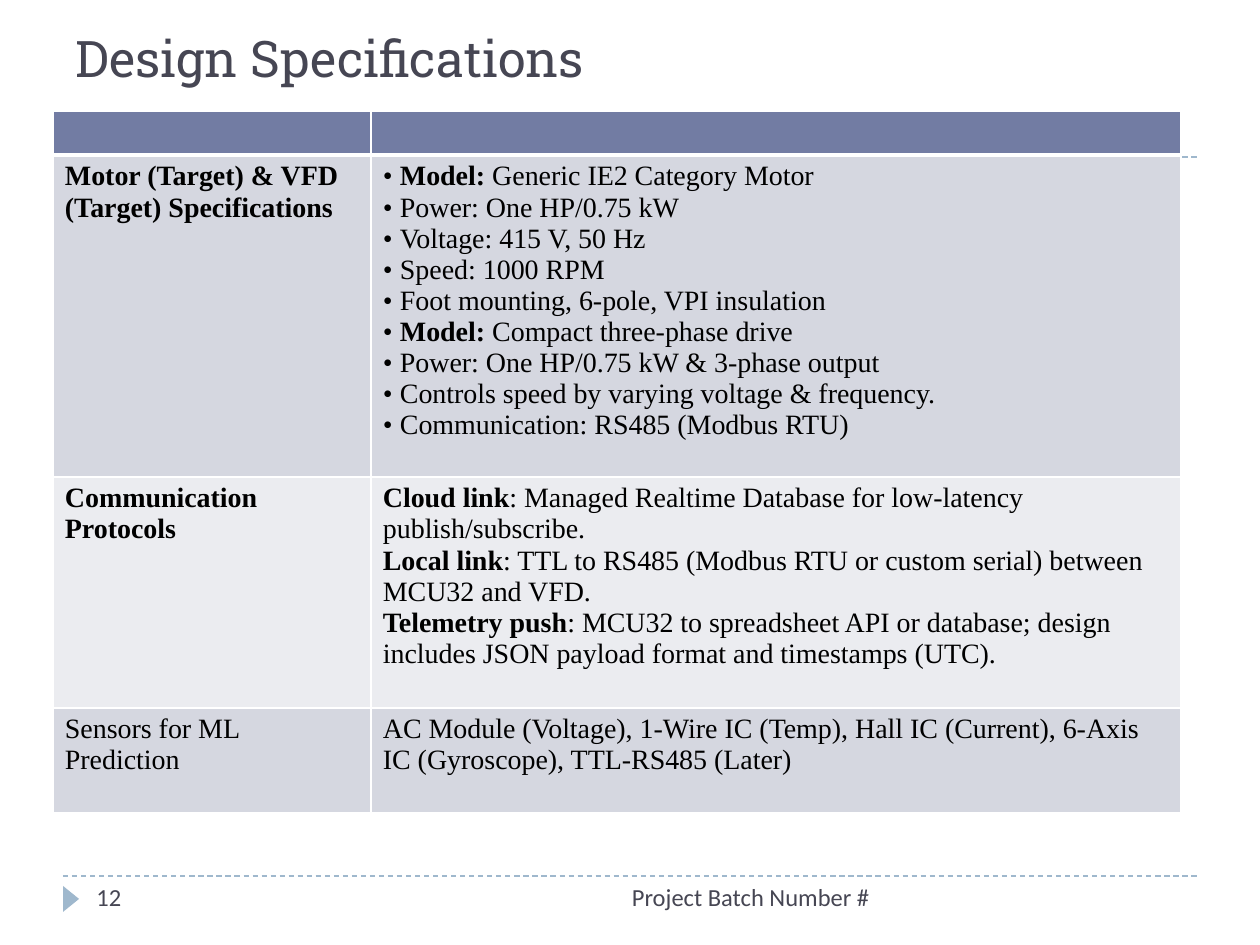
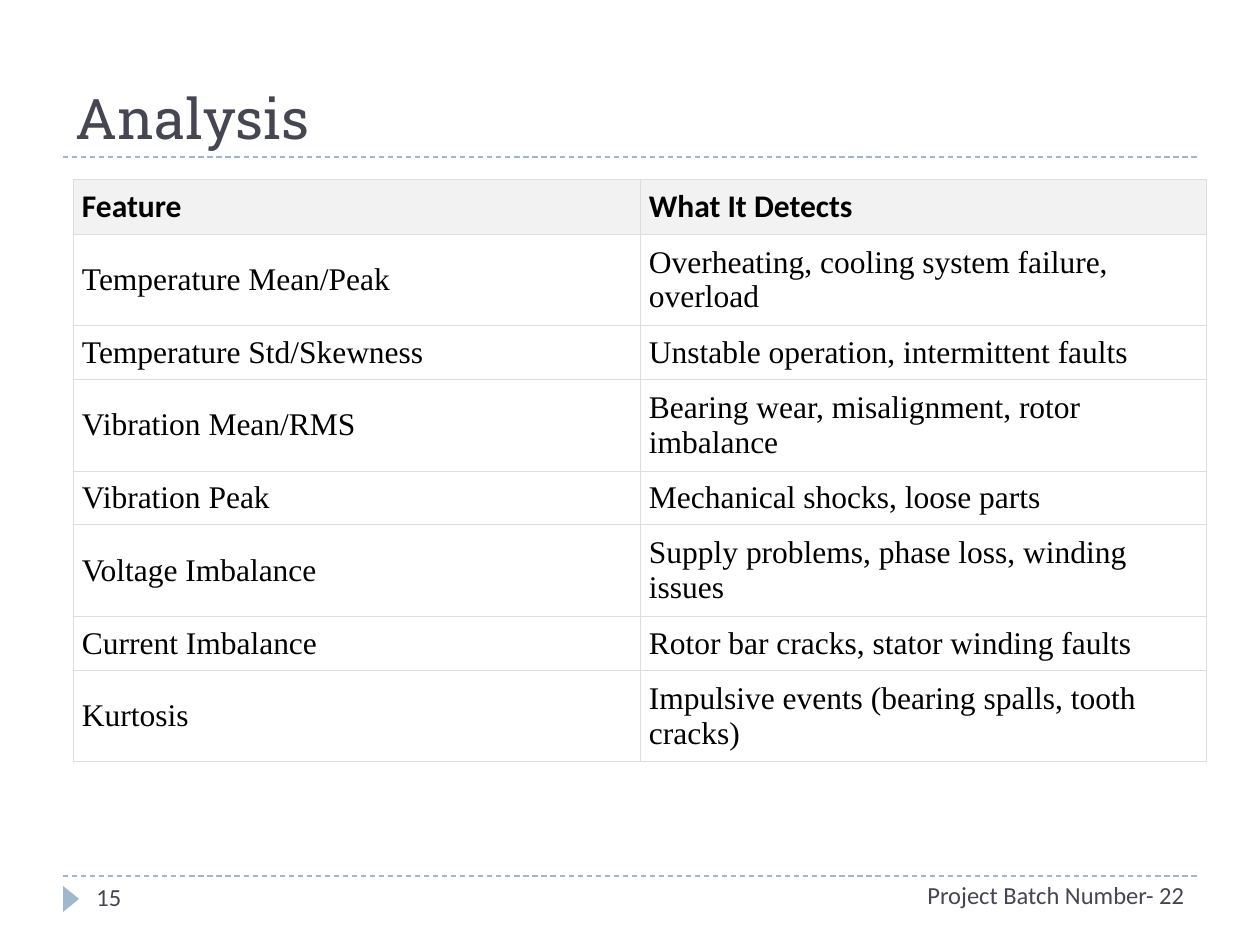
from lxml import etree
from pptx import Presentation
from pptx import util as u
from pptx.dml.color import RGBColor
from pptx.enum import dml, shapes, text
from pptx.oxml.ns import qn

PX = 7257
INK = RGBColor(0x46, 0x46, 0x53)
ACCENT = RGBColor(0x9F, 0xB8, 0xCD)
BLACK = RGBColor(0, 0, 0)
WHITE = RGBColor(0xFF, 0xFF, 0xFF)
HEADER_BLUE = RGBColor(0x72, 0x7C, 0xA3)
BAND_DARK = RGBColor(0xD5, 0xD7, 0xE0)
BAND_LIGHT = RGBColor(0xEB, 0xEC, 0xF0)
HEADER_GREY = RGBColor(0xF2, 0xF2, 0xF2)
RULE_GREY = RGBColor(0xDD, 0xDD, 0xDD)
SERIF = "Times New Roman"
SANS = "Calibri"


def write(frame, paragraphs, font=SANS, size=14, color=INK,
          align=text.PP_ALIGN.LEFT, bullet=False):
    frame.word_wrap = True
    for index, (strong, plain) in enumerate(paragraphs):
        line = frame.add_paragraph() if index else frame.paragraphs[0]
        line.alignment = align
        if bullet:
            props = line._p.get_or_add_pPr()
            props.set("marL", str(17 * PX))
            props.set("indent", str(-17 * PX))
            etree.SubElement(props, qn("a:buFont"), typeface=font)
            etree.SubElement(props, qn("a:buChar"), char="•")
        for words, bold in ((strong, True), (plain, False)):
            if words:
                run = line.add_run()
                run.text = words
                run.font.name = font
                run.font.size = u.Pt(size)
                run.font.bold = bold
                run.font.color.rgb = color
        if not strong and not plain:
            etree.SubElement(line._p, qn("a:endParaRPr"), sz=str(size * 100))


def style_cell(cell, fill, border, widths, margins):
    props = cell._tc.get_or_add_tcPr()
    for side, width in zip("LRTB", widths):
        edge = etree.SubElement(props, qn(f"a:ln{side}"), w=str(u.Pt(width)))
        solid = etree.SubElement(edge, qn("a:solidFill"))
        etree.SubElement(solid, qn("a:srgbClr"), val=str(border))
    if fill is None:
        cell.fill.background()
    else:
        cell.fill.solid()
        cell.fill.fore_color.rgb = fill
    cell.margin_left = cell.margin_right = margins[0] * PX
    cell.margin_top = cell.margin_bottom = margins[1] * PX


deck = Presentation()
deck.slide_width = 1260 * PX
deck.slide_height = 945 * PX
layout = deck.slide_layouts[5]

pages = [
    ("Design Specifications", 28.8, 73, "12", "Project Batch Number #", 399, 876),
    ("Analysis", 32, 136, "15", "Project Batch Number- 22", 714, 874),
]
slides = []
for heading, size, height, number, footer, footer_left, footer_top in pages:
    slide = deck.slides.add_slide(layout)
    slides.append(slide)
    title = slide.shapes.title
    title.left, title.top = 63 * PX, 21 * PX
    title.width, title.height = 1134 * PX, height * PX
    title.text_frame.auto_size = text.MSO_AUTO_SIZE.NONE
    title.text_frame.vertical_anchor = text.MSO_ANCHOR.BOTTOM
    write(title.text_frame, [("", heading)], font="Roboto Slab", size=size)
    page_number = slide.shapes.add_textbox(84 * PX, 876 * PX, 273 * PX, 50 * PX)
    write(page_number.text_frame, [("", number)])
    batch = slide.shapes.add_textbox(footer_left * PX, footer_top * PX, 483 * PX, 50 * PX)
    write(batch.text_frame, [("", footer)], align=text.PP_ALIGN.RIGHT)

for y in (876, 157):
    rule = slides[0].shapes.add_connector(
        shapes.MSO_CONNECTOR.STRAIGHT, 63 * PX, y * PX, 1197 * PX, y * PX)
    rule.line.color.rgb = ACCENT
    rule.line.width = u.Pt(0.75)
    rule.line.dash_style = dml.MSO_LINE.DASH
    etree.SubElement(rule._element.spPr, qn("a:effectLst"))
    layout.shapes.element.append(rule._element)

marker = slides[0].shapes.add_shape(
    shapes.MSO_SHAPE.ISOSCELES_TRIANGLE, 58 * PX, 891 * PX, 26 * PX, 16 * PX)
marker.rotation = 90
marker.shadow.inherit = False
marker.fill.solid()
marker.fill.fore_color.rgb = ACCENT
marker.line.fill.background()
layout.shapes.element.append(marker._element)

motor_and_drive = [
    ("Model:", " Generic IE2 Category Motor"),
    ("", "Power: One HP/0.75 kW"),
    ("", "Voltage: 415 V, 50 Hz"),
    ("", "Speed: 1000 RPM"),
    ("", "Foot mounting, 6-pole, VPI insulation"),
    ("Model:", " Compact three-phase drive"),
    ("", "Power: One HP/0.75 kW & 3-phase output"),
    ("", "Controls speed by varying voltage & frequency."),
    ("", "Communication: RS485 (Modbus RTU)"),
]
protocols = [
    ("Cloud link", ": Managed Realtime Database for low-latency publish/subscribe."),
    ("Local link", ": TTL to RS485 (Modbus RTU or custom serial) between MCU32 and VFD."),
    ("Telemetry push", ": MCU32 to spreadsheet API or database; design includes "
                       "JSON payload format and timestamps (UTC)."),
]
sensors = [("", "AC Module (Voltage), 1-Wire IC (Temp), Hall IC (Current), "
                "6-Axis IC (Gyroscope), TTL-RS485 (Later)")]
specifications = [
    (44, HEADER_BLUE, [("", "")], [("", "")]),
    (322, BAND_DARK, [("Motor (Target) & VFD (Target) Specifications", "")], motor_and_drive),
    (231, BAND_LIGHT, [("Communication Protocols", "")], protocols),
    (105, BAND_DARK, [("", "Sensors for ML Prediction")], sensors),
]
spec_table = slides[0].shapes.add_table(4, 2, 53 * PX, 111 * PX, 1128 * PX, 702 * PX).table
spec_table.first_row = spec_table.horz_banding = False
for column, width in zip(spec_table.columns, (318, 810)):
    column.width = width * PX
for row, (height, fill, *contents) in enumerate(specifications):
    spec_table.rows[row].height = height * PX
    top, bottom = (3 if row == 1 else 1), (3 if row == 0 else 1)
    for col, paragraphs in enumerate(contents):
        cell = spec_table.cell(row, col)
        style_cell(cell, fill, WHITE, (1, 1, top, bottom), (12, 6))
        write(cell.text_frame, paragraphs, font=SERIF,
              size=16 if row else 12, color=BLACK, bullet=paragraphs is motor_and_drive)

features = [
    (55, "Feature", "What It Detects"),
    (87, "Temperature Mean/Peak", "Overheating, cooling system failure, overload"),
    (52, "Temperature Std/Skewness", "Unstable operation, intermittent faults"),
    (86, "Vibration Mean/RMS", "Bearing wear, misalignment, rotor imbalance"),
    (52, "Vibration Peak", "Mechanical shocks, loose parts"),
    (86, "Voltage Imbalance", "Supply problems, phase loss, winding issues"),
    (52, "Current Imbalance", "Rotor bar cracks, stator winding faults"),
    (87, "Kurtosis", "Impulsive events (bearing spalls, tooth cracks)"),
]
feature_table = slides[1].shapes.add_table(
    len(features), 2, 73 * PX, 179 * PX, 1134 * PX, 557 * PX).table
feature_table.first_row = feature_table.horz_banding = False
for row, (height, *contents) in enumerate(features):
    feature_table.rows[row].height = height * PX
    for col, words in enumerate(contents):
        cell = feature_table.cell(row, col)
        style_cell(cell, None if row else HEADER_GREY, RULE_GREY, (0.6,) * 4, (9, 8))
        cell.vertical_anchor = text.MSO_ANCHOR.MIDDLE
        write(cell.text_frame, [("", words) if row else (words, "")],
              font=SERIF if row else SANS, size=18, color=BLACK)

deck.save("out.pptx")
